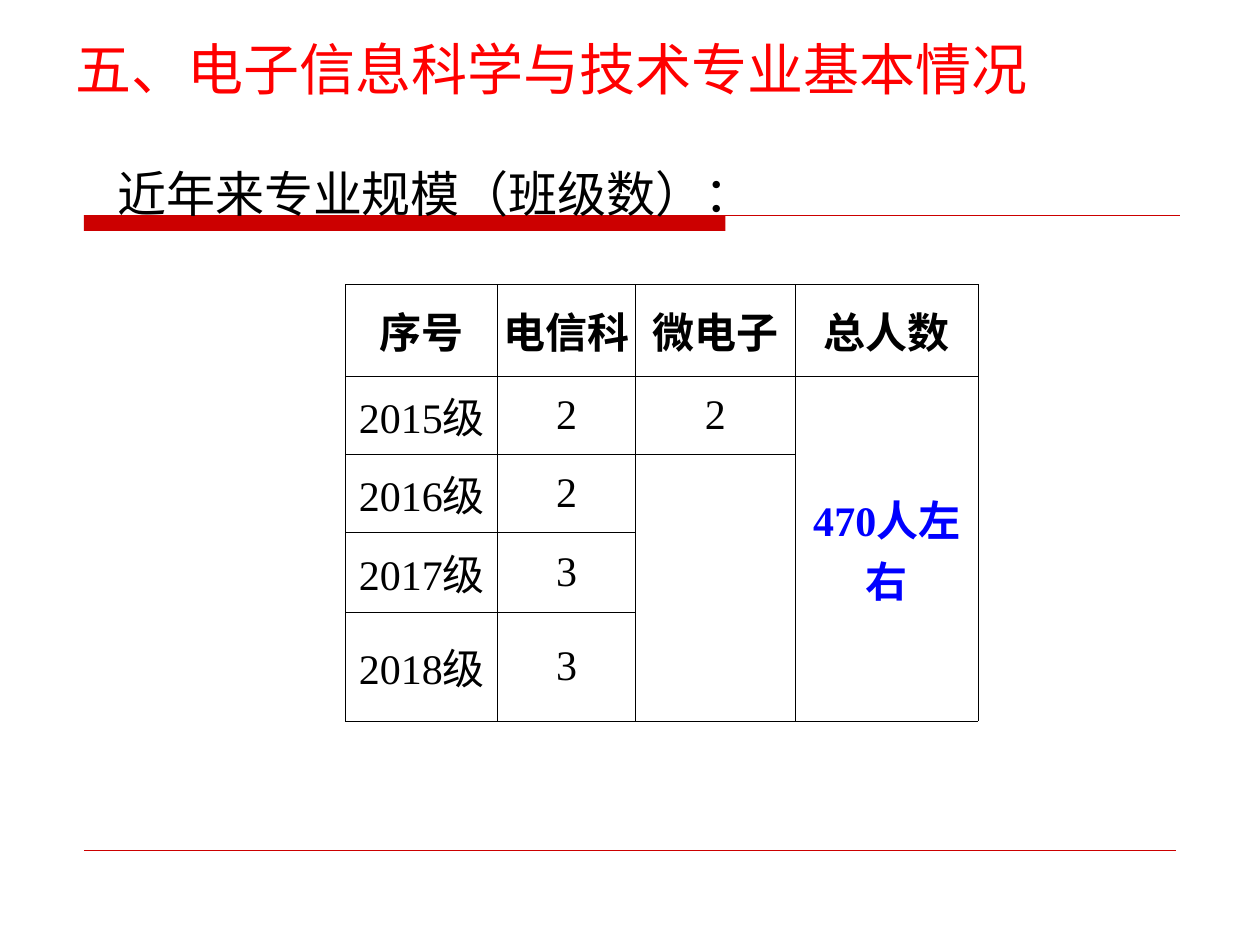
"""Build the slide on the class sizes of the electronic information programme."""
import dataclasses

import lxml.etree
import pptx
import pptx.dml.color
import pptx.enum.shapes
import pptx.enum.text
import pptx.oxml.ns
import pptx.util

Pt = pptx.util.Pt
ALIGN = pptx.enum.text.PP_ALIGN
ANCHOR = pptx.enum.text.MSO_ANCHOR
qn = pptx.oxml.ns.qn


@dataclasses.dataclass(frozen=True)
class Theme:
    """Colours, fonts and type sizes of the slide."""
    accent: str = "CC0000"
    heading: str = "FF0000"
    ink: str = "000000"
    highlight: str = "0000FF"
    sans: str = "Noto Sans CJK SC"
    serif: str = "Times New Roman"
    title_size: float = 32
    subtitle_size: float = 28
    table_size: float = 24


THEME = Theme()
NO_STYLE = "{2D5ABB26-0587-4C30-8999-92F81FD0307C}"
COLUMN_WIDTHS = (87, 78.5, 91.5, 104.5)
ROW_HEIGHTS = (52.5, 44.5, 44.5, 46, 62)
HEADERS = ("序号", "电信科", "微电子", "总人数")
CLASS_ROWS = (("2015级", "2", "2"), ("2016级", "2"), ("2017级", "3"), ("2018级", "3"))
TOTAL = "470人左右"


def rgb(colour):
    """Turn a hex string into a colour."""
    return pptx.dml.color.RGBColor.from_string(colour)


def write_text(frame, text, *, size, colour=THEME.ink, font=THEME.sans,
               bold=False, align=ALIGN.LEFT):
    """Write one formatted paragraph into a text frame."""
    paragraph = frame.paragraphs[0]
    paragraph.alignment = align
    run = paragraph.add_run()
    run.text = text
    run.font.name = font
    run.font.size = Pt(size)
    run.font.bold = bold
    run.font.color.rgb = rgb(colour)
    east_asian = lxml.etree.SubElement(run.font._element, qn("a:ea"))
    east_asian.set("typeface", THEME.sans)


def add_title(slide, text):
    """Place and format the title placeholder."""
    title = slide.shapes.title
    title.left, title.top, title.width, title.height = Pt(36), Pt(10), Pt(648), Pt(52)
    frame = title.text_frame
    frame.auto_size = pptx.enum.text.MSO_AUTO_SIZE.NONE
    frame.vertical_anchor = ANCHOR.BOTTOM
    write_text(frame, text, size=THEME.title_size, colour=THEME.heading)


def add_subtitle(slide, text):
    """Add the line of text above the table."""
    box = slide.shapes.add_textbox(Pt(60), Pt(89.5), Pt(426), Pt(41))
    frame = box.text_frame
    frame.word_wrap = True
    frame.vertical_anchor = ANCHOR.MIDDLE
    write_text(frame, text, size=THEME.subtitle_size)


def add_bar(slide, left, top, width, height):
    """Add a solid accent bar without an outline."""
    bar = slide.shapes.add_shape(pptx.enum.shapes.MSO_SHAPE.RECTANGLE,
                                 Pt(left), Pt(top), Pt(width), Pt(height))
    bar.shadow.inherit = False
    bar.fill.solid()
    bar.fill.fore_color.rgb = rgb(THEME.accent)
    bar.line.fill.background()


def add_rule(slide, left, right, top, weight):
    """Add a horizontal accent line."""
    rule = slide.shapes.add_connector(pptx.enum.shapes.MSO_CONNECTOR.STRAIGHT,
                                      Pt(left), Pt(top), Pt(right), Pt(top))
    rule.line.color.rgb = rgb(THEME.accent)
    rule.line.width = Pt(weight)
    lxml.etree.SubElement(rule._element.spPr, qn("a:effectLst"))


def format_cell(cell):
    """Give a cell thin borders, narrow margins and no fill."""
    properties = cell._tc.get_or_add_tcPr()
    for side in ("L", "R", "T", "B"):
        border = lxml.etree.SubElement(properties, qn(f"a:ln{side}"), w=str(Pt(0.45)))
        fill = lxml.etree.SubElement(border, qn("a:solidFill"))
        lxml.etree.SubElement(fill, qn("a:srgbClr"), val=THEME.ink)
    cell.fill.background()
    cell.margin_left = cell.margin_right = Pt(0.72)
    cell.margin_top = cell.margin_bottom = Pt(3.6)
    cell.vertical_anchor = ANCHOR.MIDDLE


def write_cell(cell, text, **style):
    """Write centred table text into a cell."""
    write_text(cell.text_frame, text, size=THEME.table_size, font=THEME.serif,
               align=ALIGN.CENTER, **style)


def add_class_table(slide):
    """Add the table of classes by year with its merged cells."""
    frame = slide.shapes.add_table(len(ROW_HEIGHTS), len(COLUMN_WIDTHS), Pt(197.5), Pt(162.5),
                                   Pt(sum(COLUMN_WIDTHS)), Pt(sum(ROW_HEIGHTS)))
    table = frame.table
    table.first_row = table.horz_banding = False
    table._tbl.tblPr.find(qn("a:tableStyleId")).text = NO_STYLE
    for column, width in zip(table.columns, COLUMN_WIDTHS):
        column.width = Pt(width)
    for row, height in zip(table.rows, ROW_HEIGHTS):
        row.height = Pt(height)
    for cell in table.iter_cells():
        format_cell(cell)
    for column, text in enumerate(HEADERS):
        write_cell(table.cell(0, column), text, bold=True)
    for row, values in enumerate(CLASS_ROWS, start=1):
        for column, text in enumerate(values):
            write_cell(table.cell(row, column), text)
    table.cell(1, 3).merge(table.cell(4, 3))
    table.cell(2, 2).merge(table.cell(4, 2))
    write_cell(table.cell(1, 3), TOTAL, bold=True, colour=THEME.highlight)


def main():
    """Build and save the presentation."""
    presentation = pptx.Presentation()
    presentation.slide_width, presentation.slide_height = Pt(720), Pt(540)
    slide = presentation.slides.add_slide(presentation.slide_layouts[5])
    add_bar(slide, 48, 123, 366.5, 9)
    add_rule(slide, 48, 674.5, 123, 0.75)
    add_rule(slide, 48, 672, 486, 0.25)
    add_title(slide, "五、电子信息科学与技术专业基本情况")
    add_subtitle(slide, "近年来专业规模（班级数）：")
    add_class_table(slide)
    presentation.save("out.pptx")


if __name__ == "__main__":
    main()
